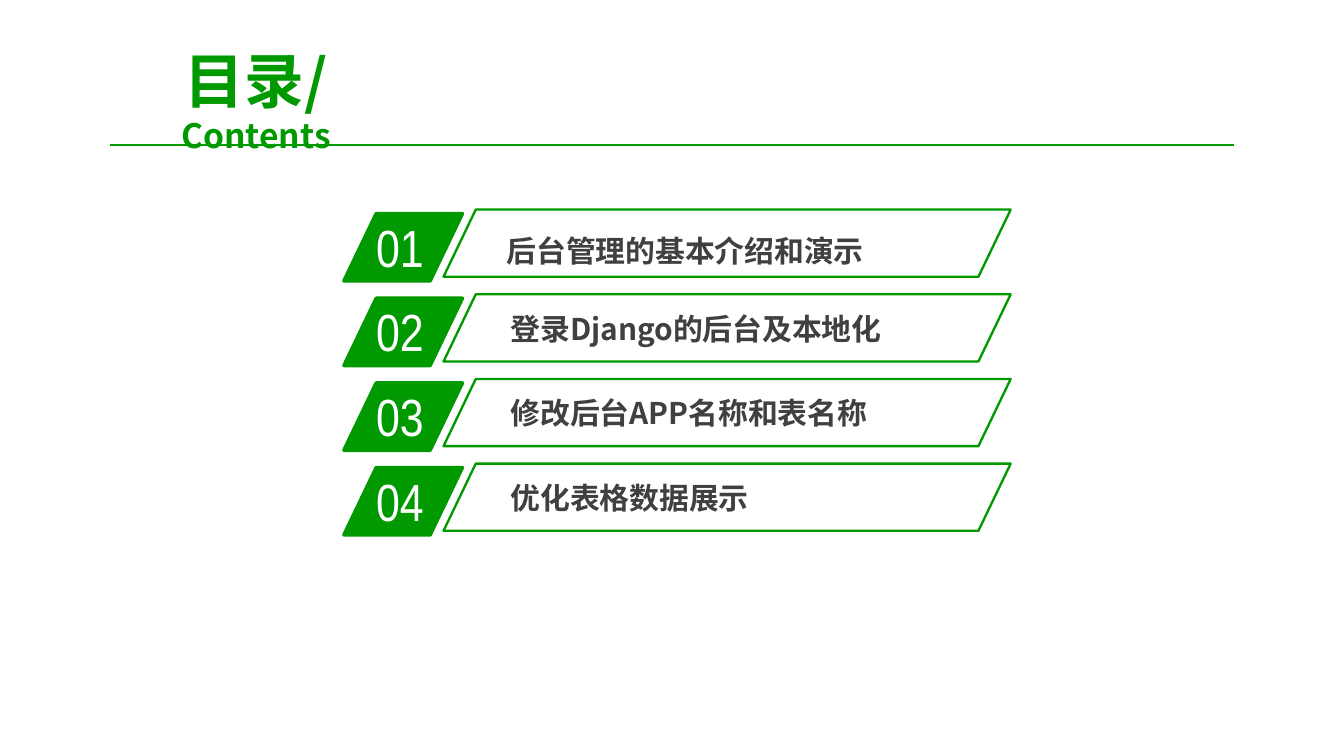
from lxml.etree import SubElement
from pptx import Presentation
from pptx.dml.color import RGBColor
from pptx.enum.shapes import MSO_CONNECTOR, MSO_SHAPE
from pptx.enum.text import MSO_ANCHOR, MSO_AUTO_SIZE, PP_ALIGN
from pptx.oxml.ns import qn
from pptx.util import Inches, Pt

# Content: number, topic, and the topic's shift (right, down) within its row
TITLE, SUBTITLE = "目录/", "Contents"
TOPICS = [
    ("01", "后台管理的基本介绍和演示", (-0.03, 0.05)),
    ("02", "登录Django的后台及本地化", (0, 0)),
    ("03", "修改后台APP名称和表名称", (0, 0)),
    ("04", "优化表格数据展示", (0, 0)),
]
GREEN, GREY, WHITE = "009900", "404040", "FFFFFF"
CHINESE_FONT, NUMBER_FONT = "Noto Sans CJK SC", "Arial Narrow"
TITLE_FORMAT = {"name": CHINESE_FONT, "size": Pt(32), "bold": True, "color": GREEN}
SUBTITLE_FORMAT = {**TITLE_FORMAT, "size": Pt(18)}
TOPIC_FORMAT = {"name": CHINESE_FONT, "size": Pt(16), "bold": True, "color": GREY}
NUMBER_FORMAT = {"name": NUMBER_FONT, "size": Pt(28), "color": WHITE}

# Grid in inches, on a 16:9 slide
WIDTH = 10
HEIGHT = WIDTH * 9 / 16
FIRST_ROW, ROW_PITCH, ROW_HEIGHT = 1.59, 0.63, 0.5
TAG_LEFT, TAG_WIDTH = 2.56, 0.88
PANEL_LEFT, PANEL_WIDTH = 3.3, 4.22
SLANT = 0.48
MARGIN = 0.82


def color(value):
    return RGBColor.from_string(value)


def add_run(paragraph, text, formats):
    run = paragraph.add_run()
    run.text = text
    for name, value in formats.items():
        if name == "color":
            run.font.color.rgb = color(value)
        else:
            setattr(run.font, name, value)
    SubElement(run.font._element, qn("a:ea"), typeface=formats["name"])


def add_text_box(left, top, width, height, **frame_formats):
    box = slide.shapes.add_textbox(*map(Inches, (left, top, width, height)))
    for name, value in {"word_wrap": True, **frame_formats}.items():
        setattr(box.text_frame, name, value)
    return box.text_frame.paragraphs[0]


def add_parallelogram(left, top, width, line_width, fill=None):
    shape = slide.shapes.add_shape(
        MSO_SHAPE.PARALLELOGRAM, *map(Inches, (left, top, width, ROW_HEIGHT)))
    shape.adjustments[0] = SLANT
    shape.shadow.inherit = False
    shape.line.color.rgb = color(GREEN)
    shape.line.width = Pt(line_width)
    if fill:
        shape.fill.solid()
        shape.fill.fore_color.rgb = color(fill)
    else:
        shape.fill.background()


presentation = Presentation()
presentation.slide_width, presentation.slide_height = Inches(WIDTH), Inches(HEIGHT)
slide = presentation.slides.add_slide(presentation.slide_layouts[6])

# Heading
heading = add_text_box(0.67, 0.47, 2.47, 0.54, vertical_anchor=MSO_ANCHOR.MIDDLE)
heading.alignment = PP_ALIGN.CENTER
heading.space_before = Pt(6)
add_run(heading, TITLE, TITLE_FORMAT)
heading.add_line_break()
add_run(heading, SUBTITLE, SUBTITLE_FORMAT)

# Rule under the heading
rule = slide.shapes.add_connector(
    MSO_CONNECTOR.STRAIGHT, *map(Inches, (MARGIN, 1.08, WIDTH - MARGIN, 1.08)))
rule.line.color.rgb = color(GREEN)
rule.line.width = Pt(0.75)
SubElement(rule._element.spPr, qn("a:effectLst"))

# One row per topic: numbered tag, outlined panel, topic text
for row, (number, topic, (shift_x, shift_y)) in enumerate(TOPICS):
    top = FIRST_ROW + row * ROW_PITCH
    add_parallelogram(TAG_LEFT, top, TAG_WIDTH, 2, GREEN)
    tag = add_text_box(TAG_LEFT + 0.14, top - 0.04, 0.84, 0.57,
                       auto_size=MSO_AUTO_SIZE.SHAPE_TO_FIT_TEXT)
    add_run(tag, number, NUMBER_FORMAT)
    add_parallelogram(PANEL_LEFT, top - 0.03, PANEL_WIDTH, 1.25)
    label = add_text_box(PANEL_LEFT + 0.43 + shift_x, top + 0.05 + shift_y, 3.4, 0.35,
                         margin_left=Inches(0.07), margin_right=Inches(0.07),
                         margin_top=Inches(0.04), margin_bottom=Inches(0.04),
                         auto_size=MSO_AUTO_SIZE.SHAPE_TO_FIT_TEXT)
    add_run(label, topic, TOPIC_FORMAT)

presentation.save("out.pptx")
